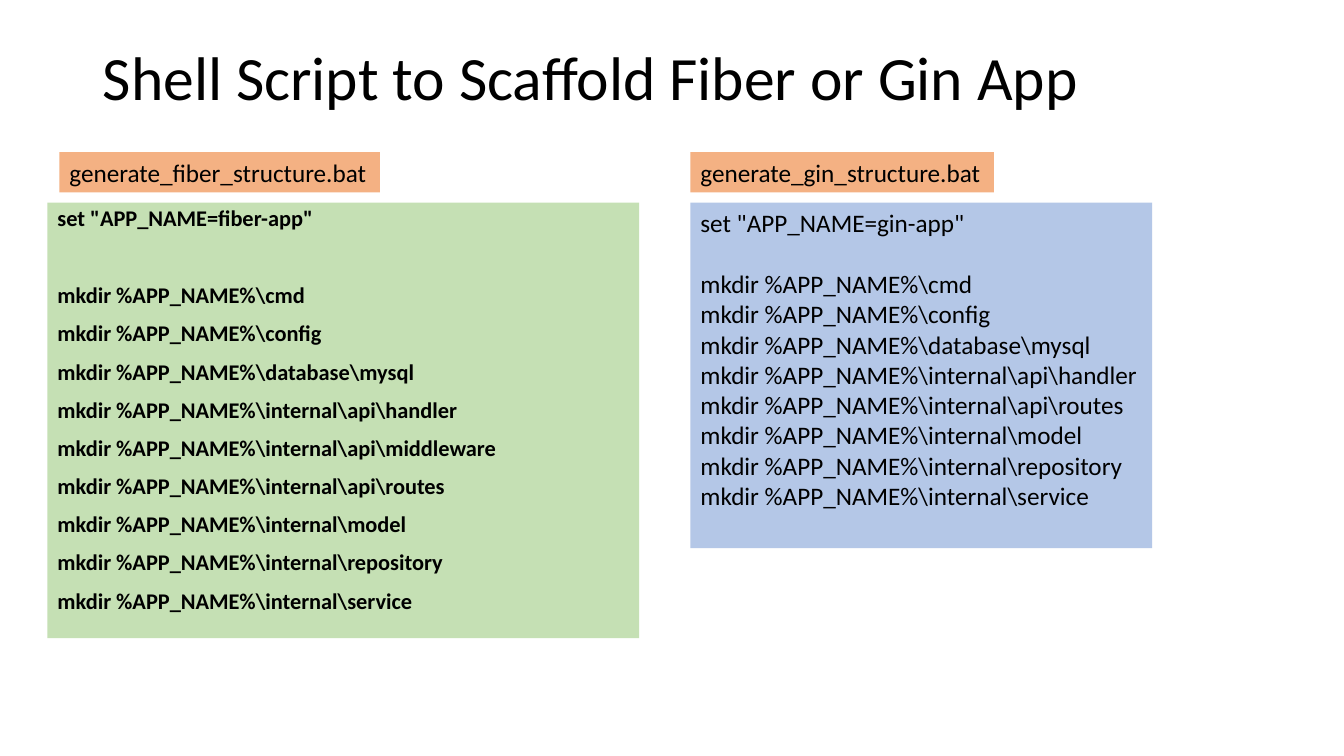
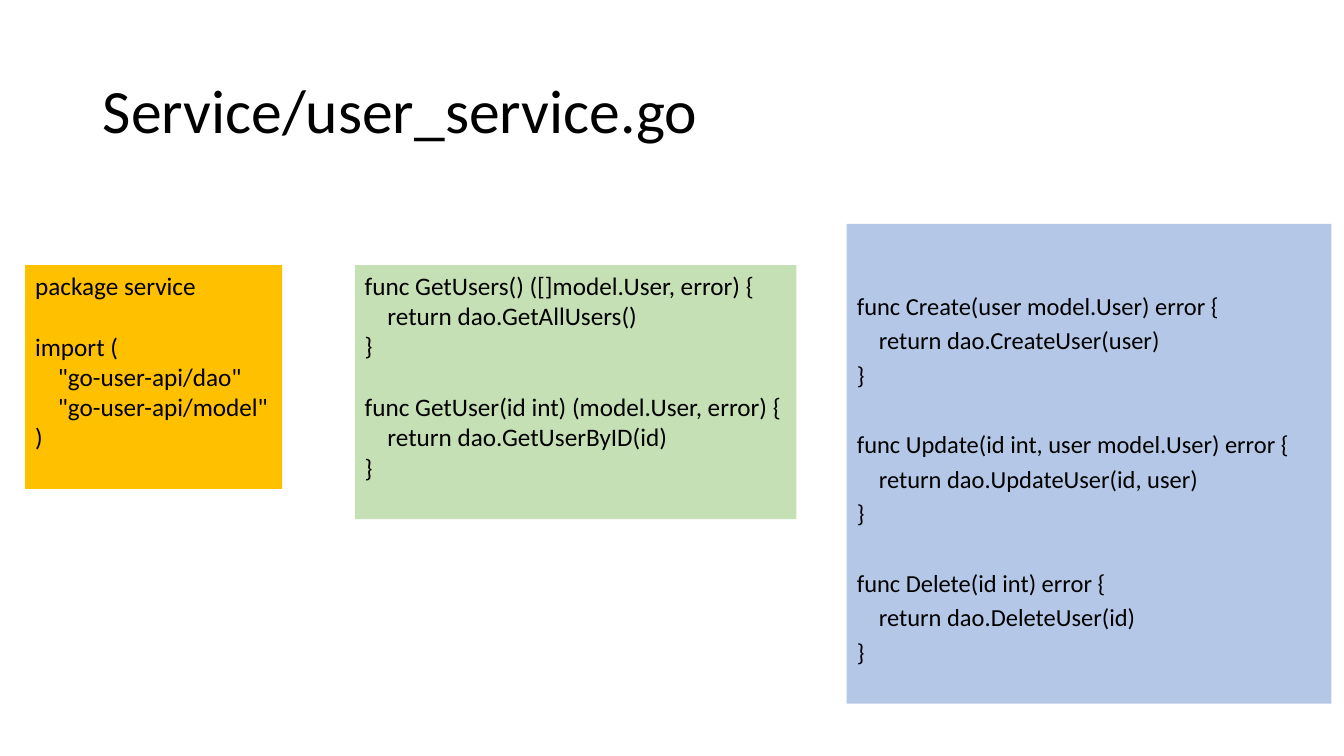
"""Build two slides on scaffolding scripts and a Go user service."""
from dataclasses import dataclass
from typing import Any

from lxml import etree
from pptx import Presentation
from pptx.dml.color import RGBColor
from pptx.enum.text import MSO_ANCHOR, MSO_AUTO_SIZE, PP_ALIGN
from pptx.oxml.ns import qn
from pptx.util import Pt

LEFT = PP_ALIGN.LEFT
TOP, MIDDLE = MSO_ANCHOR.TOP, MSO_ANCHOR.MIDDLE
NO_AUTOFIT = MSO_AUTO_SIZE.NONE

BLACK = RGBColor(0x00, 0x00, 0x00)
GREEN = RGBColor(0xC5, 0xE0, 0xB4)
BLUE = RGBColor(0xB4, 0xC7, 0xE7)
ORANGE = RGBColor(0xF4, 0xB1, 0x83)
GOLD = RGBColor(0xFF, 0xC0, 0x00)

FONT_NAME = "Calibri"
LINE_HEIGHT = 1.22
INSET_X, INSET_Y = 7.2, 3.6
TITLE_LEFT, TITLE_TOP, TITLE_WIDTH = 66.24, 28.8, 828
LABEL_TOP, LABEL_HEIGHT = 108.72, 28.8
SCRIPT_TOP = 144.72
SNIPPET_TOP = 189.36
GIN_LEFT = 493.2


@dataclass(frozen=True)
class TextStyle:
    """Size, weight and spacing of the lines in a panel."""
    size: float = 18
    bold: bool = False
    line_spacing: float = 1.0
    space_before: float = 0

    @property
    def blank_line(self) -> float:
        """Return the height that one empty line takes."""
        return self.size * LINE_HEIGHT * self.line_spacing + self.space_before


PLAIN = TextStyle()
TITLE_STYLE = TextStyle(size=44, line_spacing=0.9)
BOLD_SCRIPT = TextStyle(size=16, bold=True, line_spacing=0.9, space_before=10)
TIGHT_CODE = TextStyle(size=17.5, line_spacing=0.7, space_before=10)


@dataclass(frozen=True)
class Panel:
    """A filled box of code or a file name."""
    text: str
    fill: RGBColor
    left: float
    top: float
    width: float
    height: float
    style: TextStyle = PLAIN
    is_body: bool = False


@dataclass(frozen=True)
class SlideContent:
    """A title and the panels below it."""
    title: str
    title_height: float
    panels: tuple[Panel, ...]


FIBER_SCRIPT = r'''set "APP_NAME=fiber-app"

mkdir %APP_NAME%\cmd
mkdir %APP_NAME%\config
mkdir %APP_NAME%\database\mysql
mkdir %APP_NAME%\internal\api\handler
mkdir %APP_NAME%\internal\api\middleware
mkdir %APP_NAME%\internal\api\routes
mkdir %APP_NAME%\internal\model
mkdir %APP_NAME%\internal\repository
mkdir %APP_NAME%\internal\service'''

GIN_SCRIPT = r'''set "APP_NAME=gin-app"

mkdir %APP_NAME%\cmd
mkdir %APP_NAME%\config
mkdir %APP_NAME%\database\mysql
mkdir %APP_NAME%\internal\api\handler
mkdir %APP_NAME%\internal\api\routes
mkdir %APP_NAME%\internal\model
mkdir %APP_NAME%\internal\repository
mkdir %APP_NAME%\internal\service'''

PACKAGE_CODE = '''package service

import (
    "go-user-api/dao"
    "go-user-api/model"
)'''

READ_CODE = '''func GetUsers() ([]model.User, error) {
    return dao.GetAllUsers()
}

func GetUser(id int) (model.User, error) {
    return dao.GetUserByID(id)
}'''

WRITE_CODE = '''

func Create(user model.User) error {
    return dao.CreateUser(user)
}

func Update(id int, user model.User) error {
    return dao.UpdateUser(id, user)
}

func Delete(id int) error {
    return dao.DeleteUser(id)
}'''

SLIDES = (
    SlideContent("Shell Script to Scaffold Fiber or Gin App", 56.88, (
        Panel(FIBER_SCRIPT, GREEN, 33.84, SCRIPT_TOP, 422.64, 311.04, BOLD_SCRIPT, True),
        Panel(GIN_SCRIPT, BLUE, GIN_LEFT, SCRIPT_TOP, 329.76, 246.96),
        Panel("generate_fiber_structure.bat", ORANGE, 42.48, LABEL_TOP, 228.96, LABEL_HEIGHT),
        Panel("generate_gin_structure.bat", ORANGE, GIN_LEFT, LABEL_TOP, 216.72, LABEL_HEIGHT),
    )),
    SlideContent("Service/user_service.go", 104.4, (
        Panel(WRITE_CODE, BLUE, 604.8, 159.84, 346.32, 342.72, TIGHT_CODE, True),
        Panel(PACKAGE_CODE, GOLD, 18, SNIPPET_TOP, 183.6, 159.84),
        Panel(READ_CODE, GREEN, 253.44, SNIPPET_TOP, 315.36, 181.44),
    )),
)


def apply_format(target: Any, values: dict[str, Any]) -> None:
    """Set each named attribute of the target."""
    for name, value in values.items():
        setattr(target, name, value)


def place(shape: Any, left: float, top: float, width: float, height: float) -> None:
    """Move and size a shape, in points."""
    apply_format(shape, {"left": Pt(left), "top": Pt(top),
                         "width": Pt(width), "height": Pt(height)})


def write_lines(shape: Any, text: str, style: TextStyle, anchor: Any) -> None:
    """Write each line as a paragraph, turning empty lines into spacing."""
    frame = shape.text_frame
    apply_format(frame, {"word_wrap": True, "auto_size": NO_AUTOFIT,
                         "vertical_anchor": anchor, "margin_left": Pt(INSET_X),
                         "margin_right": 0, "margin_top": Pt(INSET_Y),
                         "margin_bottom": Pt(INSET_Y)})
    gap = 0.0
    is_first = True
    for line in text.split("\n"):
        if not line:
            gap += style.blank_line
            continue
        if is_first:
            paragraph = frame.paragraphs[0]
            frame.margin_top = Pt(INSET_Y + gap)
            space_before = 0.0
        else:
            paragraph = frame.add_paragraph()
            space_before = style.space_before + gap
        properties = paragraph._p.get_or_add_pPr()
        apply_indent = {"marL": "0", "indent": "0"}
        for name, value in apply_indent.items():
            properties.set(name, value)
        etree.SubElement(properties, qn("a:buNone"))
        apply_format(paragraph, {"alignment": LEFT, "line_spacing": style.line_spacing,
                                 "space_before": Pt(space_before), "space_after": Pt(0)})
        run = paragraph.add_run()
        run.text = line
        apply_format(run.font, {"name": FONT_NAME, "size": Pt(style.size),
                                "bold": style.bold})
        run.font.color.rgb = BLACK
        gap = 0.0
        is_first = False


def draw_panel(slide: Any, panel: Panel) -> None:
    """Draw a panel in the body placeholder or in a text box."""
    bounds = (panel.left, panel.top, panel.width, panel.height)
    if panel.is_body:
        box = slide.placeholders[1]
        place(box, *bounds)
    else:
        box = slide.shapes.add_textbox(*map(Pt, bounds))
    box.fill.solid()
    box.fill.fore_color.rgb = panel.fill
    write_lines(box, panel.text, panel.style, TOP)


def draw_slide(presentation: Any, content: SlideContent) -> None:
    """Add a slide with its title and panels."""
    slide = presentation.slides.add_slide(presentation.slide_layouts[1])
    title = slide.shapes.title
    place(title, TITLE_LEFT, TITLE_TOP, TITLE_WIDTH, content.title_height)
    write_lines(title, content.title, TITLE_STYLE, MIDDLE)
    for panel in content.panels:
        draw_panel(slide, panel)


def main() -> None:
    """Build and save the presentation."""
    presentation = Presentation()
    apply_format(presentation, {"slide_width": Pt(960), "slide_height": Pt(540)})
    for content in SLIDES:
        draw_slide(presentation, content)
    presentation.save("out.pptx")


if __name__ == "__main__":
    main()
